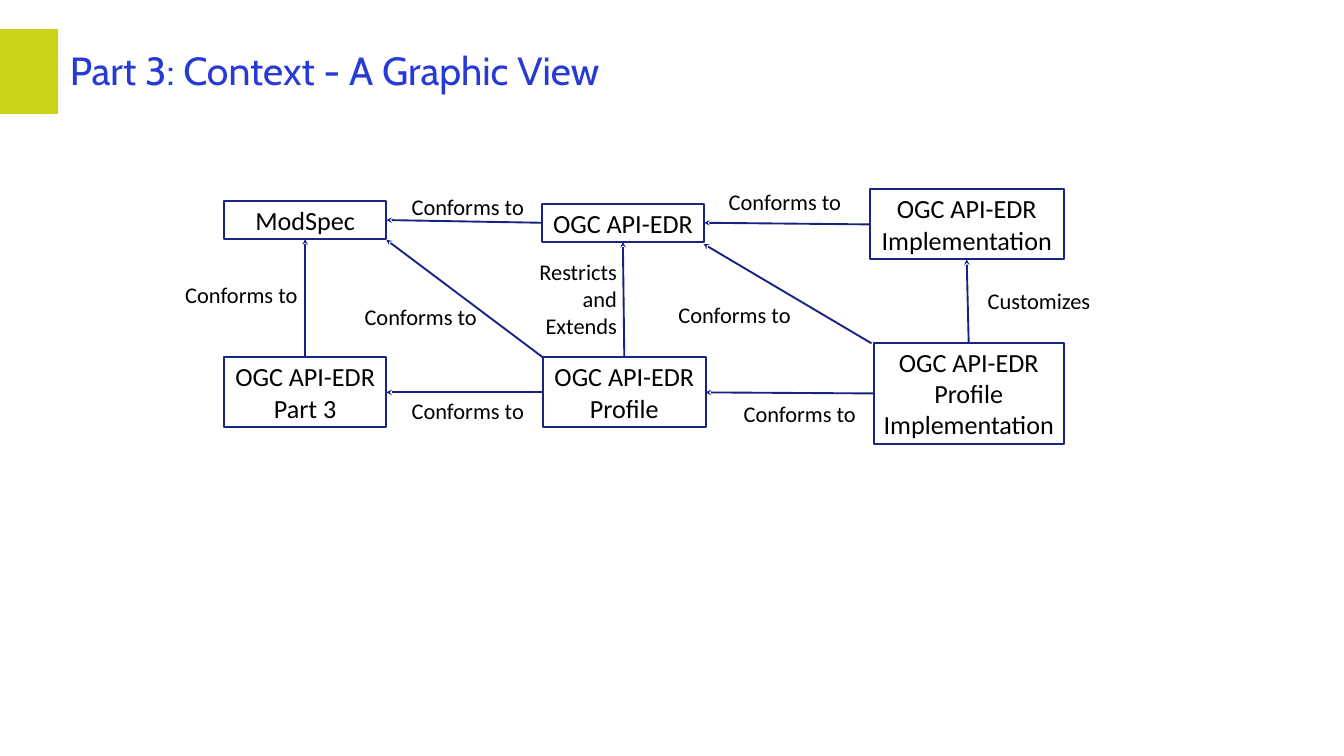
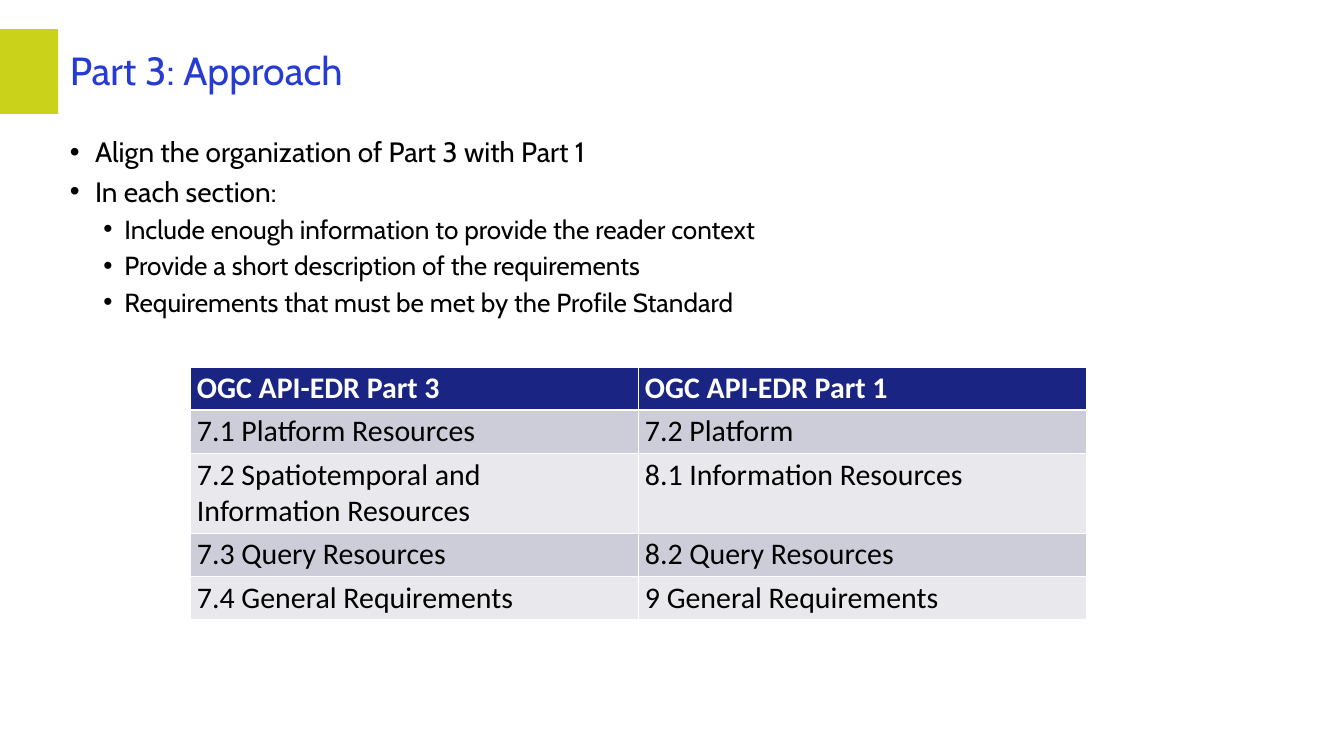
from dataclasses import dataclass
from typing import Any, NamedTuple

from lxml import etree
from pptx import Presentation
from pptx.dml.color import RGBColor
from pptx.enum.shapes import MSO_CONNECTOR, MSO_SHAPE
from pptx.enum.text import MSO_ANCHOR, MSO_AUTO_SIZE, PP_ALIGN
from pptx.oxml.ns import qn
from pptx.util import Pt

RECTANGLE = MSO_SHAPE.RECTANGLE
STRAIGHT = MSO_CONNECTOR.STRAIGHT
LEFT, CENTER, RIGHT = PP_ALIGN.LEFT, PP_ALIGN.CENTER, PP_ALIGN.RIGHT
TOP_ANCHOR, MIDDLE_ANCHOR = MSO_ANCHOR.TOP, MSO_ANCHOR.MIDDLE
GROW, FIXED = MSO_AUTO_SIZE.SHAPE_TO_FIT_TEXT, MSO_AUTO_SIZE.NONE
TOP_SIDE, LEFT_SIDE, BOTTOM_SIDE, RIGHT_SIDE = range(4)
BLANK_LAYOUT = 6


@dataclass(frozen=True)
class Theme:
    accent: str = "CAD31A"
    title: str = "263BD3"
    navy: str = "1A2483"
    arrow: str = "172183"
    text: str = "000000"
    white: str = "FFFFFF"
    bands: tuple[str, str] = ("CDCDD9", "E8E8ED")
    heading_font: str = "Cabin"
    diagram_font: str = "Calibri"
    title_size: float = 42
    title_leading: float = 41
    bullet_sizes: tuple[float, float] = (30, 28)
    box_size: float = 28
    label_size: float = 24
    table_size: float = 32
    line_width: float = 2


THEME = Theme()


class Frame(NamedTuple):
    left: float
    top: float
    width: float
    height: float

    def lengths(self) -> list[Pt]:
        return [Pt(value) for value in self]


class Box(NamedTuple):
    text: str
    frame: Frame


class Link(NamedTuple):
    """An arrow between the sides of two named boxes."""
    source: str
    source_side: int
    target: str
    target_side: int


class Diagonal(NamedTuple):
    """An arrow between two box corners."""
    start: tuple[float, float]
    end: tuple[float, float]


class Label(NamedTuple):
    text: str
    left: float
    top: float
    width: float = 174.2
    height: float = 36
    align: Any = CENTER


class Bullet(NamedTuple):
    text: str
    level: int = 0


BAND = Frame(0, 31.3, 62.3, 90.7)
TITLE = Frame(67.7, 43.9, 1304.6, 72)
BODY = Frame(67.7, 141.1, 1306.8, 203.8)
TABLE = Frame(203.8, 393.1, 960, 147.5)
BULLET_INDENTS = ((27, -27), (58.5, -22.5))

BOXES = {
    "modspec": Box("ModSpec", Frame(239.8, 215.3, 174.2, 41)),
    "edr": Box("OGC API-EDR", Frame(580.3, 218.2, 174.2, 41)),
    "part3": Box("OGC API-EDR Part 3", Frame(239.8, 383, 174.2, 74.9)),
    "profile": Box("OGC API-EDR Profile", Frame(581.8, 383, 174.2, 74.9)),
    "implementation": Box("OGC API-EDR Implementation", Frame(931.7, 203, 208.1, 74.9)),
    "profile_implementation": Box(
        "OGC API-EDR Profile Implementation", Frame(936, 367.2, 203.8, 108.7)),
}
LINKS = (
    Link("edr", LEFT_SIDE, "modspec", RIGHT_SIDE),
    Link("profile", TOP_SIDE, "edr", BOTTOM_SIDE),
    Link("profile", LEFT_SIDE, "part3", RIGHT_SIDE),
    Link("part3", TOP_SIDE, "modspec", BOTTOM_SIDE),
    Link("profile_implementation", TOP_SIDE, "implementation", BOTTOM_SIDE),
    Link("implementation", LEFT_SIDE, "edr", RIGHT_SIDE),
    Link("profile_implementation", LEFT_SIDE, "profile", RIGHT_SIDE),
)
DIAGONALS = (
    Diagonal((581.8, 383), (414, 257)),
    Diagonal((933.8, 367.9), (753.8, 261.4)),
)
CONFORMS_AT = (
    (414, 421.9), (414, 203), (171.4, 298.1), (363.6, 321.1),
    (753.8, 198), (769.7, 424.8), (699.8, 319),
)
LABELS = (
    *(Label("Conforms to", left, top) for left, top in CONFORMS_AT),
    Label("Customizes", 1026, 304.6),
    Label("Restricts and Extends", 537.1, 272.9, 131, 94.3, RIGHT),
)
BULLETS = (
    Bullet("Align the organization of Part 3 with Part 1"),
    Bullet("In each section:"),
    Bullet("Include enough information to provide the reader context", 1),
    Bullet("Provide a short description of the requirements", 1),
    Bullet("Requirements that must be met by the Profile Standard", 1),
)
SECTION_ROWS = (
    ("OGC API-EDR Part 3", "OGC API-EDR Part 1"),
    ("7.1 Platform Resources", "7.2 Platform"),
    ("7.2 Spatiotemporal and Information Resources", "8.1 Information Resources"),
    ("7.3 Query Resources", "8.2 Query Resources"),
    ("7.4 General Requirements", "9 General Requirements"),
)


def apply_format(target: Any, values: dict[str, Any]) -> None:
    for name, value in values.items():
        setattr(target, name, value)


def write(para: Any, text: str, font: str, size: float, color: str,
          bold: bool = False, align: Any = LEFT) -> None:
    para.alignment = align
    span = para.add_run()
    span.text = text
    apply_format(span.font, {"name": font, "size": Pt(size), "bold": bold})
    span.font.color.rgb = RGBColor.from_string(color)


def paint(fill: Any, color: str) -> None:
    fill.solid()
    fill.fore_color.rgb = RGBColor.from_string(color)


def set_line(line: Any, color: str) -> None:
    paint(line.fill, color)
    line.width = Pt(THEME.line_width)


def add_text(page: Any, frame: Frame, anchor: Any = TOP_ANCHOR, fit: Any = FIXED) -> Any:
    text_frame = page.shapes.add_textbox(*frame.lengths()).text_frame
    apply_format(text_frame, {"word_wrap": True, "vertical_anchor": anchor, "auto_size": fit})
    return text_frame


def add_page(deck: Any, title: str) -> Any:
    """Add a page with the accent band and the title."""
    page = deck.slides.add_slide(deck.slide_layouts[BLANK_LAYOUT])
    band = page.shapes.add_shape(RECTANGLE, *BAND.lengths())
    band.shadow.inherit = False
    paint(band.fill, THEME.accent)
    band.line.fill.background()
    para = add_text(page, TITLE, MIDDLE_ANCHOR).paragraphs[0]
    para.line_spacing = Pt(THEME.title_leading)
    write(para, title, THEME.heading_font, THEME.title_size, THEME.title)
    return page


def add_box(page: Any, box: Box) -> Any:
    shape = page.shapes.add_shape(RECTANGLE, *box.frame.lengths())
    shape.shadow.inherit = False
    shape.fill.background()
    set_line(shape.line, THEME.navy)
    apply_format(shape.text_frame, {
        "word_wrap": True, "vertical_anchor": TOP_ANCHOR, "auto_size": GROW})
    write(shape.text_frame.paragraphs[0], box.text, THEME.diagram_font,
          THEME.box_size, THEME.text, align=CENTER)
    return shape


def add_arrow(page: Any, start: tuple[float, float] = (0, 0),
              end: tuple[float, float] = (0, 0)) -> Any:
    arrow = page.shapes.add_connector(STRAIGHT, *(Pt(value) for value in (*start, *end)))
    set_line(arrow.line, THEME.arrow)
    properties = arrow.element.spPr
    etree.SubElement(properties.find(qn("a:ln")), qn("a:tailEnd"), type="stealth")
    etree.SubElement(properties, qn("a:effectLst"))
    return arrow


def add_label(page: Any, label: Label) -> None:
    frame = Frame(label.left, label.top, label.width, label.height)
    write(add_text(page, frame, fit=GROW).paragraphs[0], label.text, THEME.diagram_font,
          THEME.label_size, THEME.text, align=label.align)


def add_bullets(page: Any, bullets: tuple[Bullet, ...]) -> None:
    text_frame = add_text(page, BODY)
    for index, bullet in enumerate(bullets):
        para = text_frame.add_paragraph() if index else text_frame.paragraphs[0]
        size = THEME.bullet_sizes[bullet.level]
        write(para, bullet.text, THEME.heading_font, size, THEME.text)
        apply_format(para, {"level": bullet.level,
                            "space_before": Pt(size * 0.2 if index else 0)})
        properties = para._p.get_or_add_pPr()
        for name, value in zip(("marL", "indent"), BULLET_INDENTS[bullet.level]):
            properties.set(name, str(Pt(value)))
        etree.SubElement(properties, qn("a:buFont"), typeface="Arial")
        etree.SubElement(properties, qn("a:buChar"), char="•")


def set_borders(cell: Any, widths: dict[str, float]) -> None:
    properties = cell._tc.get_or_add_tcPr()
    for index, (side, width) in enumerate(widths.items()):
        border = etree.Element(qn(f"a:ln{side}"), w=str(Pt(width)))
        fill = etree.SubElement(border, qn("a:solidFill"))
        etree.SubElement(fill, qn("a:srgbClr"), val=THEME.white)
        properties.insert(index, border)


def add_section_table(page: Any, rows: tuple[tuple[str, ...], ...]) -> None:
    table = page.shapes.add_table(len(rows), len(rows[0]), *TABLE.lengths()).table
    for row_index, texts in enumerate(rows):
        header = row_index == 0
        fill = THEME.navy if header else THEME.bands[(row_index - 1) % 2]
        color = THEME.white if header else THEME.text
        widths = {"L": 1, "R": 1, "T": 3 if row_index == 1 else 1, "B": 3 if header else 1}
        for column_index, text in enumerate(texts):
            cell = table.cell(row_index, column_index)
            paint(cell.fill, fill)
            set_borders(cell, widths)
            write(cell.text_frame.paragraphs[0], text, THEME.diagram_font,
                  THEME.table_size, color, bold=header)


def build_context(deck: Any) -> None:
    page = add_page(deck, "Part 3: Context - A Graphic View")
    shapes = {name: add_box(page, box) for name, box in BOXES.items()}
    for link in LINKS:
        arrow = add_arrow(page)
        arrow.begin_connect(shapes[link.source], link.source_side)
        arrow.end_connect(shapes[link.target], link.target_side)
    for diagonal in DIAGONALS:
        add_arrow(page, diagonal.start, diagonal.end)
    for label in LABELS:
        add_label(page, label)


def build_approach(deck: Any) -> None:
    page = add_page(deck, "Part 3: Approach")
    add_bullets(page, BULLETS)
    add_section_table(page, SECTION_ROWS)


def main() -> None:
    deck = Presentation()
    apply_format(deck, {"slide_width": Pt(1440), "slide_height": Pt(810)})
    build_context(deck)
    build_approach(deck)
    deck.save("out.pptx")


if __name__ == "__main__":
    main()
